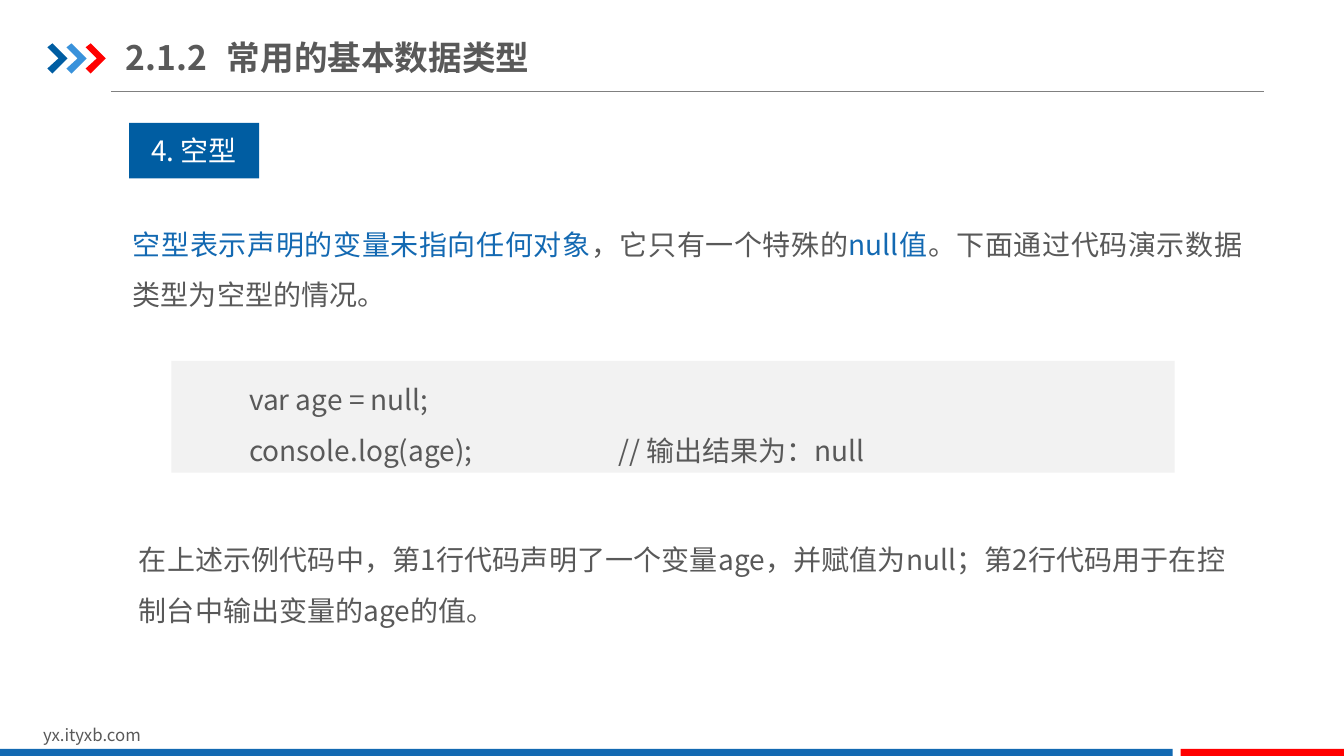
from dataclasses import dataclass

from lxml.etree import SubElement
from pptx import Presentation
from pptx.dml.color import RGBColor
from pptx.enum.shapes import MSO_CONNECTOR as Line, MSO_SHAPE as Shape
from pptx.enum.text import MSO_ANCHOR as Anchor, MSO_AUTO_SIZE as Fit, PP_ALIGN as Align
from pptx.oxml.ns import qn
from pptx.util import Inches, Pt

FONT = "Noto Sans CJK SC"
GRAY, NAVY, BLUE, RED = "595959", "005DA2", "1369B2", "FF0000"
Box = tuple[float, float, float, float]
Part = tuple[str, str]


@dataclass
class Block:
    """A text area: each line is a list of (text, colour) parts."""
    box: Box
    lines: list[list[Part]]
    size: int = 20
    bold: bool = False
    fill: str | None = None
    align: Align = Align.LEFT
    anchor: Anchor = Anchor.TOP
    pad: tuple[float, float] = (0.1, 0.05)
    space: float = 1.0
    tab: float | None = None
    grow: bool = True


@dataclass
class Bar:
    box: Box
    fill: str


BARS = [Bar((0, 7.43, 11.63, 0.09), BLUE), Bar((11.71, 7.43, 1.63, 0.09), RED)]
ARROWS = [NAVY, "3992DB", RED]
ARROW = [(0, 0.04), (0.05, 0), (0.2, 0.15), (0.05, 0.3), (0, 0.25), (0.11, 0.15)]
BLOCKS = [
    Block((0.33, 7.14, 3.18, 0.3), [[("yx.ityxb.com", GRAY)]], size=12),
    Block((1.25, 0.29, 4.26, 0.55), [[("2.1.2\t常用的基本数据类型", GRAY)]], size=24,
          bold=True, anchor=Anchor.MIDDLE, pad=(0, 0.07), tab=1, grow=False),
    Block((1.22, 2.04, 11.2, 1.05),
          [[("空型表示声明的变量未指向任何对象", BLUE), ("，它只有一个特殊的", GRAY),
            ("null值", BLUE), ("。下面通过代码演示数据类型为空型的情况。", GRAY)]],
          align=Align.JUSTIFY, space=1.5),
    Block((1.7, 3.58, 9.95, 1.11),
          [[("var age = null;", GRAY)],
           [("console.log(age);\t// 输出结果为：null", GRAY)]],
          fill="F2F2F2", pad=(0.77, 0.05), space=1.5, tab=3.66),
    Block((1.28, 5.17, 10.97, 1.11),
          [[("在上述示例代码中，第1行代码声明了一个变量age，并赋值为null；"
             "第2行代码用于在控制台中输出变量的age的值。", GRAY)]],
          align=Align.JUSTIFY, space=1.5),
    Block((1.28, 1.22, 1.29, 0.55), [[("4. 空型", "FFFFFF")]], fill=NAVY,
          align=Align.CENTER, anchor=Anchor.MIDDLE, grow=False),
]


def color(code: str) -> RGBColor:
    return RGBColor.from_string(code)


def paint(shape, fill: str) -> None:
    shape.shadow.inherit = False
    shape.fill.solid()
    shape.fill.fore_color.rgb = color(fill)
    shape.line.fill.background()


def add_bar(slide, bar: Bar):
    shape = slide.shapes.add_shape(Shape.RECTANGLE, *map(Inches, bar.box))
    paint(shape, bar.fill)
    return shape


def add_arrow(slide, left: float, top: float, fill: str) -> None:
    points = [(Inches(left + x), Inches(top + y)) for x, y in ARROW]
    path = slide.shapes.build_freeform(*points[0])
    path.add_line_segments(points[1:], close=True)
    paint(path.convert_to_shape(), fill)


def add_rule(slide) -> None:
    y = Inches(0.91)
    rule = slide.shapes.add_connector(Line.STRAIGHT, Inches(1.1), y, Inches(12.54), y)
    rule.line.color.rgb = color("808080")
    rule.line.width = Pt(0.75)
    SubElement(rule._element.spPr, qn("a:effectLst"))


def set_tab(para, pos: float) -> None:
    tabs = SubElement(para._p.get_or_add_pPr(), qn("a:tabLst"))
    SubElement(tabs, qn("a:tab"), pos=str(Inches(pos)), algn="l")


def add_line(para, parts: list[Part], block: Block) -> None:
    para.alignment = block.align
    para.line_spacing = block.space
    if block.tab:
        set_tab(para, block.tab)
    for text, code in parts:
        run = para.add_run()
        run.text = text
        font = run.font
        font.name, font.size, font.bold = FONT, Pt(block.size), block.bold
        font.color.rgb = color(code)
        SubElement(run._r.get_or_add_rPr(), qn("a:ea"), typeface=FONT)


def add_block(slide, block: Block) -> None:
    if block.fill:
        shape = add_bar(slide, Bar(block.box, block.fill))
    else:
        shape = slide.shapes.add_textbox(*map(Inches, block.box))
    frame = shape.text_frame
    frame.word_wrap = True
    frame.auto_size = Fit.SHAPE_TO_FIT_TEXT if block.grow else Fit.NONE
    frame.vertical_anchor = block.anchor
    side, edge = map(Inches, block.pad)
    frame.margin_left = frame.margin_right = side
    frame.margin_top = frame.margin_bottom = edge
    for i, parts in enumerate(block.lines):
        para = frame.add_paragraph() if i else frame.paragraphs[0]
        add_line(para, parts, block)


def main() -> None:
    deck = Presentation()
    deck.slide_width, deck.slide_height = Inches(13.33), Inches(7.5)
    slide = deck.slides.add_slide(deck.slide_layouts[6])
    add_rule(slide)
    for i, fill in enumerate(ARROWS):
        add_arrow(slide, 0.47 + 0.19 * i, 0.43, fill)
    for bar in BARS:
        add_bar(slide, bar)
    for block in BLOCKS:
        add_block(slide, block)
    deck.save("out.pptx")


if __name__ == "__main__":
    main()
